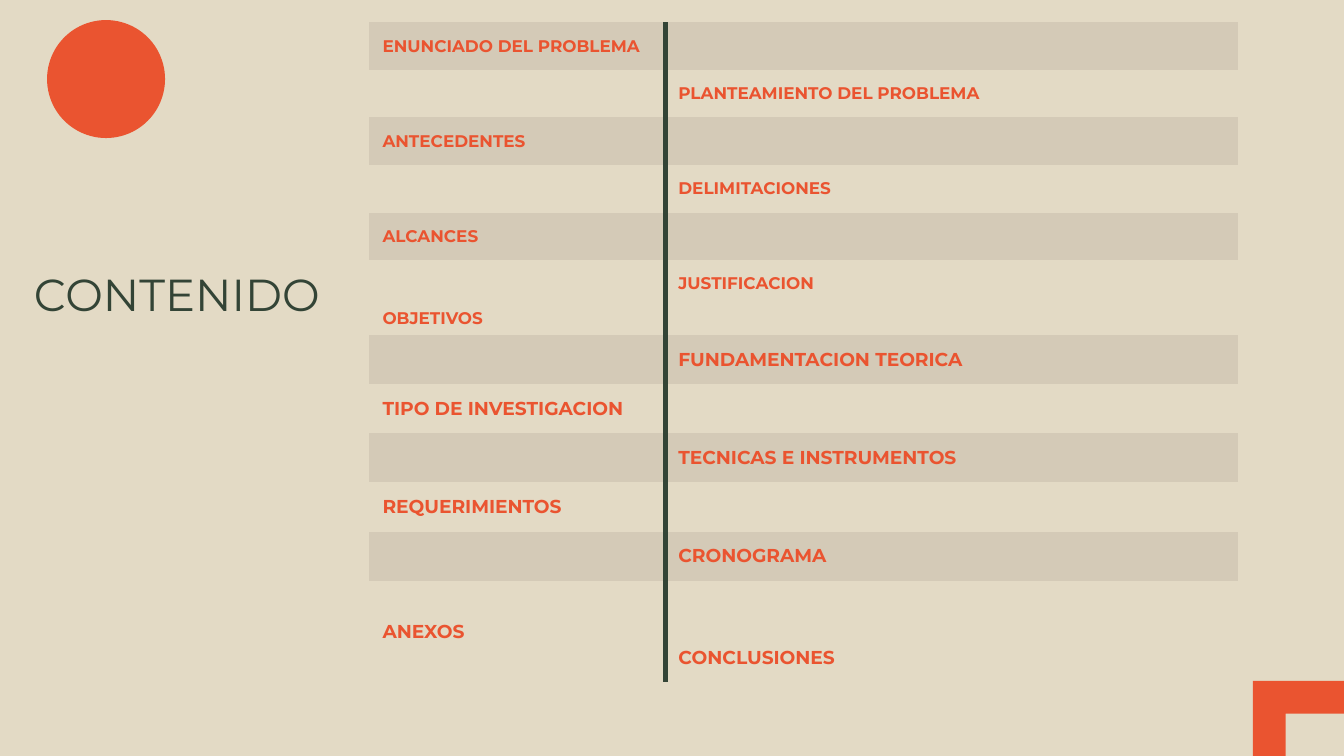
import pptx
import pptx.dml.color
import pptx.enum.shapes
import pptx.enum.text
import pptx.util
from lxml import etree

Cm = pptx.util.Cm
Pt = pptx.util.Pt
Anchor = pptx.enum.text.MSO_ANCHOR

FONT = "Montserrat"
CREAM, BAND, ORANGE, GREEN = "E3DAC5", "D4CAB7", "EA5430", "334436"
NAMESPACE = "http://schemas.openxmlformats.org/drawingml/2006/main"
PLAIN_STYLE = "{2D5ABB26-0587-4C30-8999-92F81FD0307C}"
COLUMN_WIDTHS = (5.59, 10.82)

# Each row: left entry, right entry
FIRST_TOPICS = [
    ("ENUNCIADO DEL PROBLEMA", ""),
    ("", "PLANTEAMIENTO DEL PROBLEMA"),
    ("ANTECEDENTES", ""),
    ("", "DELIMITACIONES"),
    ("ALCANCES", ""),
    ("OBJETIVOS", "JUSTIFICACION"),
]
SECOND_TOPICS = [
    ("", "FUNDAMENTACION TEORICA"),
    ("TIPO DE INVESTIGACION", ""),
    ("", "TECNICAS E INSTRUMENTOS"),
    ("REQUERIMIENTOS", ""),
    ("", "CRONOGRAMA"),
    ("ANEXOS", "CONCLUSIONES"),
]
# Entries that sit off the middle of their taller row
CELL_OVERRIDES = {
    "OBJETIVOS": {"margin_top": Cm(0.64)},
    "JUSTIFICACION": {"vertical_anchor": Anchor.TOP},
    "CONCLUSIONES": {"vertical_anchor": Anchor.BOTTOM},
}


def color(hex_value):
    return pptx.dml.color.RGBColor.from_string(hex_value)


def apply_format(target, values):
    for name, value in values.items():
        setattr(target, name, value)


def paint(fill, hex_value):
    fill.solid()
    fill.fore_color.rgb = color(hex_value)


def format_text(paragraph, size, hex_value, bold):
    apply_format(paragraph.font, {"name": FONT, "size": Pt(size), "bold": bold})
    paragraph.font.color.rgb = color(hex_value)
    for run in paragraph.runs:
        apply_format(run.font, {"name": FONT, "size": Pt(size), "bold": bold})
        run.font.color.rgb = color(hex_value)


def paint_shape(shape):
    paint(shape.fill, ORANGE)
    shape.line.fill.background()
    shape.shadow.inherit = False


def add_circle(slide, left, top, diameter):
    circle = slide.shapes.add_shape(
        pptx.enum.shapes.MSO_SHAPE.OVAL,
        Cm(left), Cm(top), Cm(diameter), Cm(diameter))
    paint_shape(circle)


def add_corner(slide, left, top, width, height, thickness):
    """Bracket that frames the bottom right corner of the slide."""
    right, bottom = left + width, top + height
    inner_left, inner_top = left + thickness, top + thickness
    points = [(right, top), (right, inner_top), (inner_left, inner_top),
              (inner_left, bottom), (left, bottom)]
    builder = slide.shapes.build_freeform(Cm(left), Cm(top))
    builder.add_line_segments([(Cm(x), Cm(y)) for x, y in points], close=True)
    paint_shape(builder.convert_to_shape())


def place_title(slide, left, top, width, height):
    title = slide.shapes.title
    apply_format(title, {"left": Cm(left), "top": Cm(top),
                         "width": Cm(width), "height": Cm(height)})
    frame = title.text_frame
    frame.text = "CONTENIDO"
    apply_format(frame, {"vertical_anchor": Anchor.MIDDLE, "word_wrap": True})
    frame.paragraphs[0].alignment = pptx.enum.text.PP_ALIGN.CENTER
    format_text(frame.paragraphs[0], 24, GREEN, False)


def add_border(cell, side):
    line = etree.Element(f"{{{NAMESPACE}}}{side}", w=str(Pt(3)))
    fill = etree.SubElement(line, f"{{{NAMESPACE}}}solidFill")
    etree.SubElement(fill, f"{{{NAMESPACE}}}srgbClr", val=GREEN)
    cell._tc.get_or_add_tcPr().insert(0, line)


def fill_cell(cell, text, size, banded):
    margin = Cm(0.25) if text else 0  # empty cells must not stretch the row
    values = {"margin_left": margin, "margin_right": margin,
              "margin_top": margin, "margin_bottom": margin,
              "vertical_anchor": Anchor.MIDDLE}
    apply_format(cell, values | CELL_OVERRIDES.get(text, {}))
    if text:
        cell.text = text
        format_text(cell.text_frame.paragraphs[0], size, ORANGE, True)
    if banded:
        paint(cell.fill, BAND)
    else:
        cell.fill.background()


def add_topics(slide, left, top, topics, row_height, last_height, size):
    heights = [row_height] * (len(topics) - 1) + [last_height]
    frame = slide.shapes.add_table(
        len(topics), 2, Cm(left), Cm(top),
        Cm(sum(COLUMN_WIDTHS)), Cm(sum(heights)))
    table = frame.table
    apply_format(table, {"first_row": False, "horz_banding": False})
    table._tbl.tblPr.find(f"{{{NAMESPACE}}}tableStyleId").text = PLAIN_STYLE
    for column, width in zip(table.columns, COLUMN_WIDTHS):
        column.width = Cm(width)
    for index, (entries, height) in enumerate(zip(topics, heights)):
        table.rows[index].height = Cm(height)
        for cell, text, side in zip(table.rows[index].cells, entries, ("lnR", "lnL")):
            fill_cell(cell, text, size, banded=index % 2 == 0)
            add_border(cell, side)


def build_contents_slide(presentation):
    slide = presentation.slides.add_slide(presentation.slide_layouts[5])
    paint(slide.background.fill, CREAM)
    # Decoration
    add_corner(slide, 23.68, 12.87, 1.72, 1.42, 0.62)
    add_circle(slide, 0.89, 0.38, 2.23)
    # Title and the two lists of topics
    place_title(slide, 0, 4.75, 6.68, 1.6)
    add_topics(slide, 6.98, 0.42, FIRST_TOPICS, 0.9, 1.8, 9)
    add_topics(slide, 6.98, 6.33, SECOND_TOPICS, 0.93, 1.92, 10)


def main():
    presentation = pptx.Presentation()
    apply_format(presentation, {"slide_width": Cm(25.4), "slide_height": Cm(14.29)})
    build_contents_slide(presentation)
    presentation.save("out.pptx")


if __name__ == "__main__":
    main()
